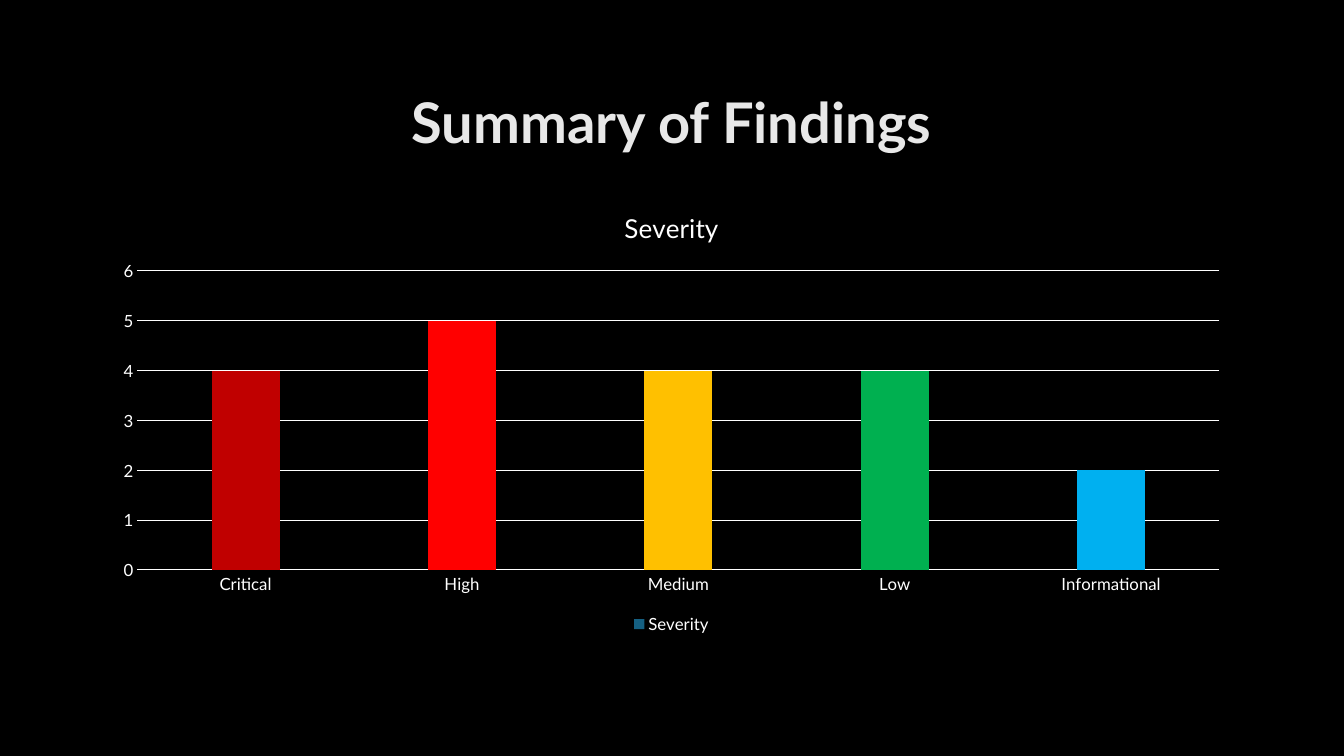
from pptx import Presentation
from pptx.chart.data import CategoryChartData
from pptx.dml.color import RGBColor
from pptx.enum.chart import XL_CHART_TYPE as ChartType
from pptx.enum.chart import XL_LEGEND_POSITION as LegendPosition
from pptx.enum.chart import XL_TICK_MARK as TickMark
from pptx.enum.text import MSO_ANCHOR as Anchor
from pptx.enum.text import MSO_AUTO_SIZE as AutoSize
from pptx.enum.text import PP_ALIGN as Align
from pptx.util import Inches, Pt

BLACK = RGBColor(0x00, 0x00, 0x00)
WHITE = RGBColor(0xFF, 0xFF, 0xFF)
LIGHT_GREY = RGBColor(0xE8, 0xE8, 0xE8)
TEAL = RGBColor(0x15, 0x60, 0x82)
DARK_RED = RGBColor(0xC0, 0x00, 0x00)
RED = RGBColor(0xFF, 0x00, 0x00)
AMBER = RGBColor(0xFF, 0xC0, 0x00)
GREEN = RGBColor(0x00, 0xB0, 0x50)
BLUE = RGBColor(0x00, 0xB0, 0xF0)

FONT = "Lato"
FINDINGS = {
    "Critical": (4, DARK_RED),
    "High": (5, RED),
    "Medium": (4, AMBER),
    "Low": (4, GREEN),
    "Informational": (2, BLUE),
}


def apply_format(target, values):
    """Set each attribute of target from a dict of values."""
    for attribute, value in values.items():
        setattr(target, attribute, value)


def style_font(font, size, color=WHITE, bold=False):
    """Give a font the deck typeface, a size, a weight and a colour."""
    apply_format(font, {"name": FONT, "size": Pt(size), "bold": bold})
    font.color.rgb = color


def style_fill(fill, color):
    """Make a fill solid in one colour."""
    fill.solid()
    fill.fore_color.rgb = color


def style_line(line):
    """Make a thin white line."""
    style_fill(line.fill, WHITE)
    line.width = Pt(0.75)


def place_heading(slide, left, top, width, height):
    """Put the slide heading in the title placeholder."""
    heading = slide.shapes.title
    apply_format(heading, {"left": left, "top": top, "width": width, "height": height})
    frame = heading.text_frame
    frame.text = "Summary of Findings"
    apply_format(frame, {"vertical_anchor": Anchor.MIDDLE, "auto_size": AutoSize.NONE})
    paragraph = frame.paragraphs[0]
    paragraph.alignment = Align.CENTER
    style_font(paragraph.runs[0].font, 40, LIGHT_GREY, bold=True)


def style_axes(chart):
    """Format the severity axis, the count axis and its gridlines."""
    for axis in (chart.category_axis, chart.value_axis):
        apply_format(axis, {"major_tick_mark": TickMark.NONE, "minor_tick_mark": TickMark.NONE})
        style_font(axis.tick_labels.font, 12)
    style_line(chart.category_axis.format.line)
    counts = chart.value_axis
    apply_format(counts, {"minimum_scale": 0, "maximum_scale": 6, "major_unit": 1})
    counts.format.line.fill.background()
    style_line(counts.major_gridlines.format.line)


def style_bars(chart):
    """Colour each severity bar and set the spacing."""
    bars = chart.plots[0]
    apply_format(bars, {"gap_width": 219, "overlap": -27, "vary_by_categories": False})
    severity = bars.series[0]
    severity.invert_if_negative = False
    style_fill(severity.format.fill, TEAL)
    for index, (_, color) in enumerate(FINDINGS.values()):
        style_fill(severity.points[index].format.fill, color)


def place_severity_chart(slide, left, top, width, height):
    """Add the column chart of findings by severity."""
    findings = CategoryChartData()
    findings.categories = list(FINDINGS)
    findings.add_series("Severity", [count for count, _ in FINDINGS.values()])
    chart = slide.shapes.add_chart(
        ChartType.COLUMN_CLUSTERED, left, top, width, height, findings
    ).chart
    style_font(chart.font, 10)
    apply_format(chart, {"has_title": True, "has_legend": True})
    caption = chart.chart_title.text_frame
    caption.text = "Severity"
    style_font(caption.paragraphs[0].runs[0].font, 18.6)
    apply_format(chart.legend, {"position": LegendPosition.BOTTOM, "include_in_layout": False})
    style_font(chart.legend.font, 12)
    style_axes(chart)
    style_bars(chart)


def build_findings_slide(deck):
    """Add the summary slide with its heading above the chart."""
    slide = deck.slides.add_slide(deck.slide_layouts[5])
    style_fill(slide.background.fill, BLACK)
    left, width = Inches(1), Inches(11.32)
    place_heading(slide, left, Inches(0.67), width, Inches(1.06))
    place_severity_chart(slide, left, Inches(1.89), width, Inches(4.44))


def main():
    """Build and save the presentation."""
    deck = Presentation()
    apply_format(deck, {"slide_width": Inches(13.33), "slide_height": Inches(7.5)})
    build_findings_slide(deck)
    deck.save("out.pptx")


if __name__ == "__main__":
    main()
